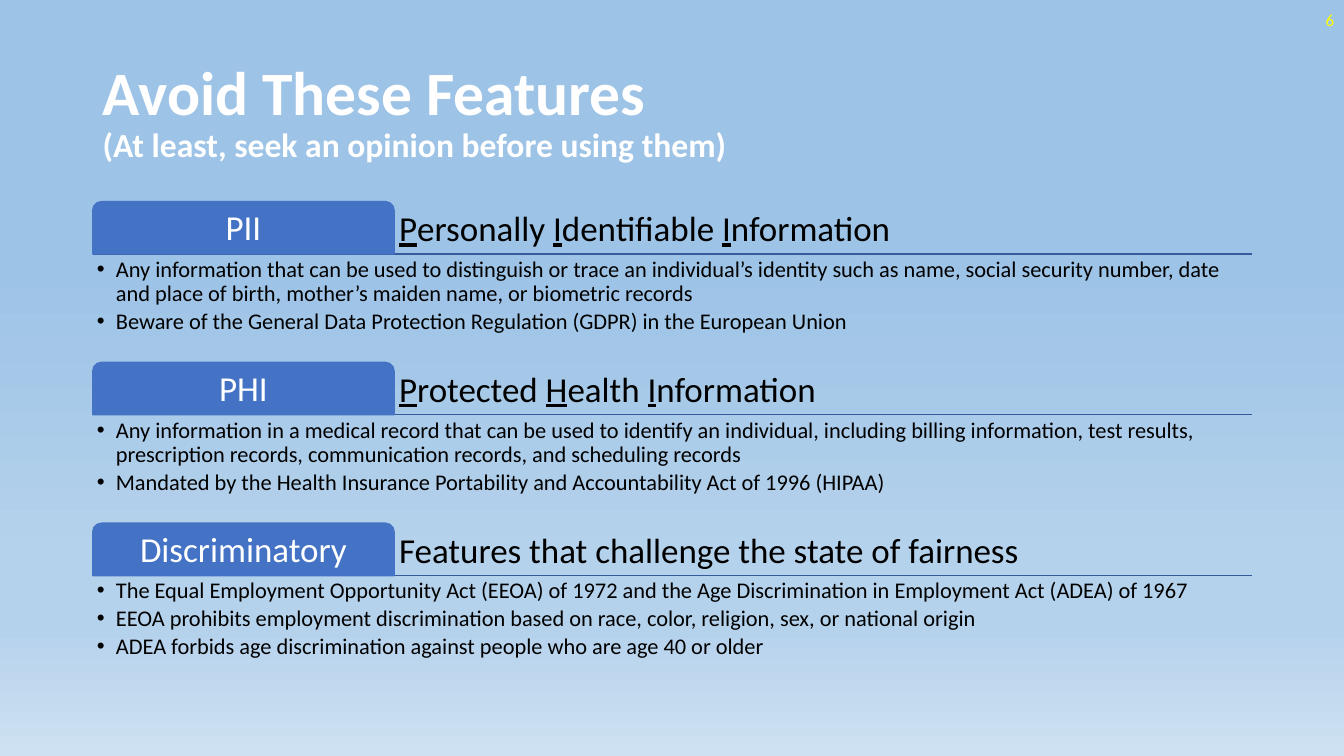
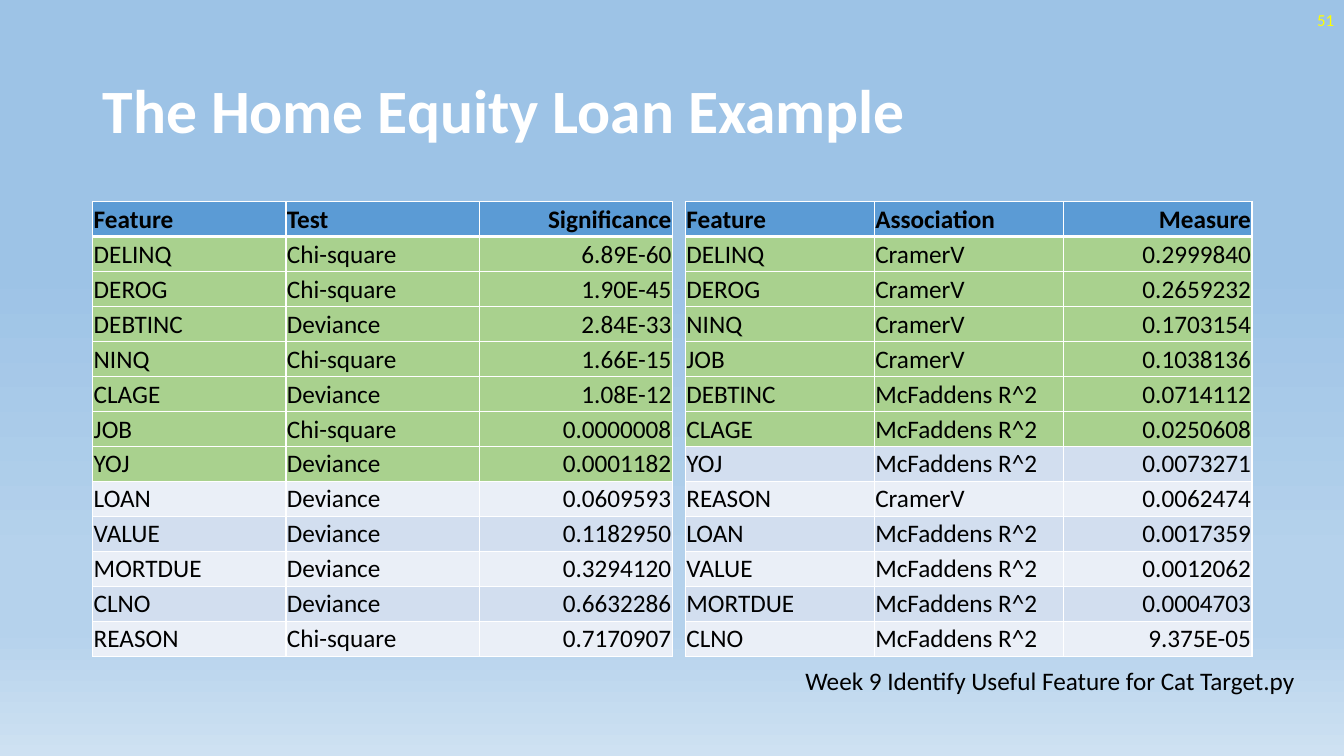
from dataclasses import dataclass

from lxml import etree
from pptx import Presentation
from pptx import util as u
from pptx.dml.color import RGBColor
from pptx.enum import shapes, text
from pptx.oxml.ns import qn


@dataclass(frozen=True)
class Theme:
    face: str = "Calibri"
    sky: tuple = ((35, "9DC3E6"), (74, "B5D2EC"), (83, "B5D2EC"), (100, "CEE1F2"))
    white: str = "FFFFFF"
    black: str = "000000"
    page: str = "FFFF00"
    tab: str = "4472C4"
    rule: str = "365B9D"
    head: str = "5B9BD5"
    good: str = "A9D18E"
    bands: tuple = ("D2DEEF", "EAEFF7")
    title: int = 44
    sub: int = 24
    label: int = 25
    cell: int = 18
    body: int = 16
    small: int = 12


T = Theme()
ALIGN = {"l": text.PP_ALIGN.LEFT, "c": text.PP_ALIGN.CENTER, "r": text.PP_ALIGN.RIGHT}
ANCHOR = {"t": text.MSO_ANCHOR.TOP, "m": text.MSO_ANCHOR.MIDDLE,
          "b": text.MSO_ANCHOR.BOTTOM}

# Content grid, in inches
WIDE, HIGH = 13.333, 7.5
LEFT, TOP, SPAN = 0.92, 2, 11.5
TAB = 0.26 * SPAN
BAR, STEP = 0.52, 1.595

TOPICS = (
    ("PII", "_P_ersonally _I_dentifiable _I_nformation", (
        "Any information that can be used to distinguish or trace an individual’s "
        "identity such as name, social security number, date and place of birth, "
        "mother’s maiden name, or biometric records",
        "Beware of the General Data Protection Regulation (GDPR) in the European Union")),
    ("PHI", "_P_rotected _H_ealth _I_nformation", (
        "Any information in a medical record that can be used to identify an "
        "individual, including billing information, test results, prescription "
        "records, communication records, and scheduling records",
        "Mandated by the Health Insurance Portability and Accountability Act of 1996 "
        "(HIPAA)")),
    ("Discriminatory", "Features that challenge the state of fairness", (
        "The Equal Employment Opportunity Act (EEOA) of 1972 and the Age "
        "Discrimination in Employment Act (ADEA) of 1967",
        "EEOA prohibits employment discrimination based on race, color, religion, "
        "sex, or national origin",
        "ADEA forbids age discrimination against people who are age 40 or older")),
)

CHI, DEV = "Chi-square", "Deviance"
TESTS = (
    ("Feature", "Test", "Significance"),
    ("DELINQ", CHI, "6.89E-60"),
    ("DEROG", CHI, "1.90E-45"),
    ("DEBTINC", DEV, "2.84E-33"),
    ("NINQ", CHI, "1.66E-15"),
    ("CLAGE", DEV, "1.08E-12"),
    ("JOB", CHI, "0.0000008"),
    ("YOJ", DEV, "0.0001182"),
    ("LOAN", DEV, "0.0609593"),
    ("VALUE", DEV, "0.1182950"),
    ("MORTDUE", DEV, "0.3294120"),
    ("CLNO", DEV, "0.6632286"),
    ("REASON", CHI, "0.7170907"),
)

CRV, MCF = "CramerV", "McFaddens R^2"
LINKS = (
    ("Feature", "Association", "Measure"),
    ("DELINQ", CRV, "0.2999840"),
    ("DEROG", CRV, "0.2659232"),
    ("NINQ", CRV, "0.1703154"),
    ("JOB", CRV, "0.1038136"),
    ("DEBTINC", MCF, "0.0714112"),
    ("CLAGE", MCF, "0.0250608"),
    ("YOJ", MCF, "0.0073271"),
    ("REASON", CRV, "0.0062474"),
    ("LOAN", MCF, "0.0017359"),
    ("VALUE", MCF, "0.0012062"),
    ("MORTDUE", MCF, "0.0004703"),
    ("CLNO", MCF, "9.375E-05"),
)


def rgb(code):
    return RGBColor.from_string(code)


def box(*sides):
    return [u.Inches(side) for side in sides]


def sub(node, tag, **attrs):
    return etree.SubElement(node, qn(tag), attrs)


def dot(para):
    """Give a paragraph a round bullet with a hanging indent."""
    props = para._p.get_or_add_pPr()
    hang = u.Inches(0.19)
    props.set("marL", str(hang))
    props.set("indent", str(-hang))
    sub(props, "a:buFont", typeface="Arial")
    sub(props, "a:buChar", char="•")


def write(frame, *lines, size=T.body, color=T.black, bold=False, align="l",
          anchor="t", inset=None, space=1, after=0, bullet=False, small=None):
    """Fill a frame, one paragraph a line.

    Words between underscores are underlined; a line break starts a row
    that is set in the small size.
    """
    frame.word_wrap = True
    frame.vertical_anchor = ANCHOR[anchor]
    if inset is not None:
        frame.margin_left = frame.margin_right = u.Inches(inset)
        frame.margin_top = frame.margin_bottom = u.Inches(inset)
    for i, line in enumerate(lines):
        para = frame.add_paragraph() if i else frame.paragraphs[0]
        if bullet:
            dot(para)
        para.alignment = ALIGN[align]
        para.line_spacing = space
        para.space_after = u.Pt(after)
        for j, row in enumerate(line.split("\n")):
            if j:
                para.add_line_break()
            for k, part in enumerate(row.split("_")):
                if not part:
                    continue
                run = para.add_run()
                run.text = part
                font = run.font
                font.name, font.bold = T.face, bold
                font.size = u.Pt(small if j else size)
                font.color.rgb = rgb(color)
                if k % 2:
                    font.underline = True


def label(slide, place, *lines, **fmt):
    write(slide.shapes.add_textbox(*box(*place)).text_frame, *lines, **fmt)


def rule(slide, y):
    line = slide.shapes.add_connector(
        shapes.MSO_CONNECTOR.STRAIGHT, *box(LEFT, y, LEFT + SPAN, y))
    line.line.color.rgb = rgb(T.rule)
    line.line.width = u.Pt(1)
    sub(line._element.spPr, "a:effectLst")


def tab(slide, place, name):
    shape = slide.shapes.add_shape(
        shapes.MSO_SHAPE.ROUND_2_SAME_RECTANGLE, *box(*place))
    shape.shadow.inherit = False
    shape.fill.solid()
    shape.fill.fore_color.rgb = shape.line.color.rgb = rgb(T.tab)
    shape.line.width = u.Pt(1)
    write(shape.text_frame, name, size=T.label, color=T.white, align="c",
          anchor="m", inset=0.05, space=0.9)


def topic(slide, y, name, head, points):
    base = y + BAR
    rule(slide, base)
    label(slide, (LEFT + TAB, y, SPAN - TAB, BAR), head, size=T.label,
          anchor="b", inset=0.05, space=0.9)
    tab(slide, (LEFT, y, TAB, BAR), name)
    label(slide, (LEFT, base, SPAN, 1.05), *points, inset=0.04, space=0.9,
          after=2.7, bullet=True)


def edge(cell, **widths):
    """Draw white cell borders; widths are points by side (L, R, T, B)."""
    props = cell._tc.get_or_add_tcPr()
    for side, width in widths.items():
        line = sub(props, "a:ln" + side, w=str(u.Pt(width)))
        sub(sub(line, "a:solidFill"), "a:srgbClr", val=T.white)


def grid(slide, left, width, rows, good):
    """Add a table whose first rows, good in number, stand out."""
    count, cols = len(rows), len(rows[0])
    table = slide.shapes.add_table(
        count, cols, *box(left, TOP, width, 4.51)).table
    for r, row in enumerate(rows):
        head = r == 0
        fill = T.head if head else T.good if r <= good else T.bands[(r - 1) % 2]
        for c, value in enumerate(row):
            cell = table.cell(r, c)
            edge(cell, L=1, R=1, T=3 if r == 1 else 1, B=3 if head else 1)
            cell.fill.solid()
            cell.fill.fore_color.rgb = rgb(fill)
            write(cell.text_frame, value, size=T.cell, bold=head,
                  align="r" if c == cols - 1 else "l")
            cell.vertical_anchor = ANCHOR["m"]
            cell.margin_left = cell.margin_right = cell.margin_top = u.Inches(0.01)
            cell.margin_bottom = 0


def paint(master):
    """Set the background that all slides share."""
    fill = master.background.fill
    fill.gradient()
    fill.gradient_angle = 270
    stops = master.element.find(".//" + qn("a:gsLst"))
    for stop in list(stops):
        stops.remove(stop)
    for share, code in T.sky:
        stop = sub(stops, "a:gs", pos=str(share * 1000))
        sub(stop, "a:srgbClr", val=code)


def start(deck, title, page):
    slide = deck.slides.add_slide(deck.slide_layouts[6])
    label(slide, (LEFT, 0.4, SPAN, 1.45), title, size=T.title, small=T.sub,
          color=T.white, bold=True, anchor="m", space=0.9)
    label(slide, (WIDE - 3, 0, 3, 0.4), page, size=T.small, color=T.page,
          align="r", anchor="m")
    return slide


def main():
    deck = Presentation()
    deck.slide_width, deck.slide_height = box(WIDE, HIGH)
    paint(deck.slide_master)

    slide = start(deck, "Avoid These Features\n"
                  "(At least, seek an opinion before using them)", "6")
    for i, item in enumerate(TOPICS):
        topic(slide, TOP + i * STEP, *item)

    slide = start(deck, "The Home Equity Loan Example", "51")
    half = SPAN / 2
    grid(slide, LEFT, half, TESTS, 7)
    grid(slide, LEFT + half + 0.13, half - 0.13, LINKS, 6)
    label(slide, (7.89, 6.55, 5.11, 0.4),
          "Week 9 Identify Useful Feature for Cat Target.py", size=T.cell)

    deck.save("out.pptx")


if __name__ == "__main__":
    main()
